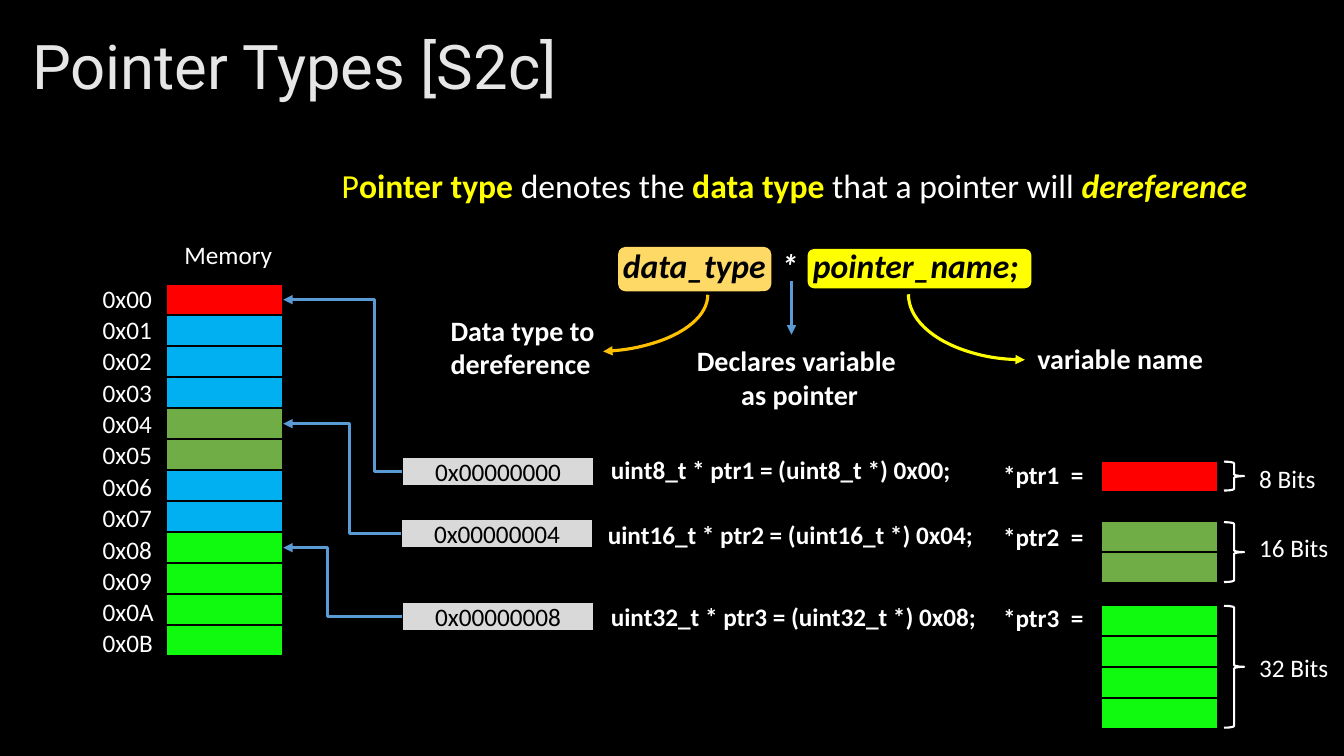
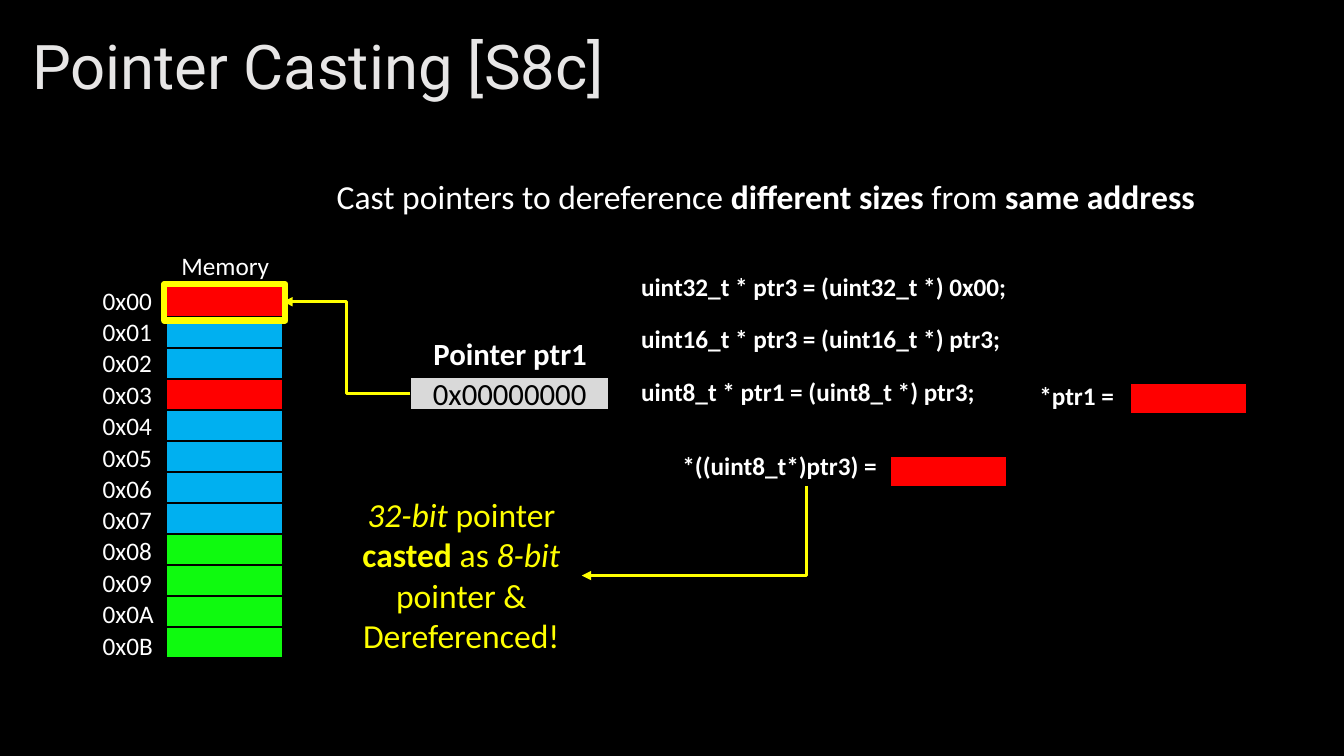
from lxml import etree
from pptx import Presentation
from pptx.dml.color import RGBColor
from pptx.enum.shapes import MSO_CONNECTOR, MSO_SHAPE
from pptx.enum.text import MSO_ANCHOR, MSO_AUTO_SIZE, PP_ALIGN
from pptx.oxml.ns import qn
from pptx.util import Inches, Pt

RECT, ROUNDED = MSO_SHAPE.RECTANGLE, MSO_SHAPE.ROUNDED_RECTANGLE
ARC, BRACE = MSO_SHAPE.ARC, MSO_SHAPE.RIGHT_BRACE
ELBOW, STRAIGHT = MSO_CONNECTOR.ELBOW, MSO_CONNECTOR.STRAIGHT
LEFT, CENTER = PP_ALIGN.LEFT, PP_ALIGN.CENTER
TOP, MIDDLE = MSO_ANCHOR.TOP, MSO_ANCHOR.MIDDLE
LEFT_SIDE, RIGHT_SIDE = 1, 3

COLORS = {
    "black": "000000", "white": "FFFFFF", "title": "E7E6E6", "gray": "D9D9D9",
    "red": "FF0000", "blue": "00B0F0", "olive": "70AD47", "green": "0FFA0F",
    "yellow": "FFFF00", "sand": "FFD966", "amber": "FFC000", "arrow": "5B9BD5",
}
BODY_FONT, TITLE_FONT = "Calibri", "Roboto"

# Shared geometry, in inches
CELL_LEFT, CELL_WIDTH = 1.65, 1.16
CELL_HEIGHT = 3.69 / 12
ADDRESS_LEFT, ADDRESS_WIDTH = 0.92, 0.8
ADDRESS_STEP = 3.73 / 12
LINE_HEIGHT = 0.4

# Run formats
BOLD, ITALIC = {"bold": True}, {"italic": True}
YELLOW = {"color": "yellow"}
KEYWORD = {**BOLD, **YELLOW}
DARK = {"color": "black"}

# Content: pointer types
TYPES_TITLE = "Pointer Types [S2c]"
TYPES_MEMORY = ["red"] + ["blue"] * 3 + ["olive"] * 2 + ["blue"] * 2 + ["green"] * 4
TYPES_STATEMENT = [("P", YELLOW), ("ointer type ", KEYWORD), ("denotes the ", {}),
                   ("data type ", KEYWORD), ("that a pointer will ", {}),
                   ("dereference", {**KEYWORD, **ITALIC})]
DECLARATION = [("data_type  ", DARK), ("* ", {}), (" pointer_name;", DARK)]
HIGHLIGHTS = [((6.13, 2.45, 1.52, 0.44), "sand"), ((8.01, 2.47, 2.22, 0.39), "yellow")]
# box, colour, flips, start angle (None keeps the quarter arc)
CURVED_ARROWS = [((4.73, 2.36, 2.29, 1.13), "amber", ["flipV"], 168.5),
                 ((9.01, 2.27, 2.31, 1.3), "yellow", ["flipH", "flipV"], None)]
EXPLANATIONS = [((10.19, 3.34, 2.1, 0.44), ["variable name"], LEFT),
                ((6.74, 3.36, 2.38, 0.77), ["Declares variable ", "as pointer"], CENTER),
                ((4.37, 3.06, 1.82, 0.77), ["Data type to dereference"], LEFT)]
POINTERS = [
    {"value": "0x00000000", "box": (3.99, 4.53), "target": 0, "bend": 0.23,
     "code": "uint8_t * ptr1 = (uint8_t *) 0x00;", "code_at": (5.96, 4.46),
     "result": "*ptr1  =", "result_top": 4.51, "cells_top": 4.57,
     "cells": ["red"], "size": "8 Bits", "size_top": 4.55},
    {"value": "0x00000004", "box": (3.98, 5.15), "target": 4, "bend": 0.44,
     "code": "uint16_t * ptr2 = (uint16_t *) 0x04;", "code_at": (5.93, 5.1),
     "result": "*ptr2  =", "result_top": 5.12, "cells_top": 5.17,
     "cells": ["olive"] * 2, "size": "16 Bits", "size_top": 5.23},
    {"value": "0x00000008", "box": (3.99, 5.97), "target": 8, "bend": 0.63,
     "code": "uint32_t * ptr3 = (uint32_t *) 0x08;", "code_at": (5.96, 5.92),
     "result": "*ptr3  =", "result_top": 5.93, "cells_top": 6.0,
     "cells": ["green"] * 4, "size": "32 Bits", "size_top": 6.42},
]

# Content: pointer casting
CASTING_TITLE = "Pointer Casting [S8c]"
CASTING_MEMORY = ["red", "blue", "blue", "red"] + ["blue"] * 4 + ["green"] * 4
CASTING_STATEMENT = [("Cast pointers to dereference ", {}), ("different sizes", BOLD),
                     (" from ", {}), ("same address", BOLD)]
CASTS = ["uint32_t * ptr3 = (uint32_t *) 0x00;",
         "uint16_t * ptr3 = (uint16_t *) ptr3;",
         "uint8_t * ptr1 = (uint8_t *) ptr3;"]
# text, text box, place of the red cell
CAST_RESULTS = [("*((uint8_t*)ptr3) =", (6.67, 4.42, 2.66, LINE_HEIGHT), (8.83, 4.52)),
                ("*ptr1 =", (10.21, 3.72, 0.96, LINE_HEIGHT), (11.21, 3.8))]
CAST_NOTE = [("32-bit", ITALIC), (" pointer ", {}), ("casted", BOLD), (" as ", {}),
             ("8-bit ", ITALIC), ("pointer & Dereferenced!", {})]


def rgb(name):
    return RGBColor.from_string(COLORS[name])


def inches(values):
    return [Inches(value) for value in values]


def write(shape, paragraphs, size=18, align=LEFT, anchor=TOP, wrap=True, spacing=None, **base):
    """Fill a shape with paragraphs, each a string or a list of (text, format)."""
    frame = shape.text_frame
    for key, value in {"word_wrap": wrap, "vertical_anchor": anchor}.items():
        setattr(frame, key, value)
    for index, runs in enumerate(paragraphs):
        paragraph = frame.add_paragraph() if index else frame.paragraphs[0]
        paragraph.alignment, paragraph.line_spacing = align, spacing
        for text, style in [(runs, {})] if isinstance(runs, str) else runs:
            run = paragraph.add_run()
            run.text = text
            look = {"name": BODY_FONT, "size": Pt(size), "color": "white", **base, **style}
            run.font.color.rgb = rgb(look.pop("color"))
            for key, value in look.items():
                setattr(run.font, key, value)


def add_text(slide, box, paragraphs, **style):
    text_box = slide.shapes.add_textbox(*inches(box))
    write(text_box, paragraphs, **style)
    if style.get("anchor", TOP) == TOP:
        text_box.text_frame.auto_size = MSO_AUTO_SIZE.SHAPE_TO_FIT_TEXT


def add_shape(slide, kind, box, fill=None, line=None, width=1.5):
    shape = slide.shapes.add_shape(kind, *inches(box))
    shape.shadow.inherit = False
    if fill:
        shape.fill.solid()
        shape.fill.fore_color.rgb = rgb(fill)
    else:
        shape.fill.background()
    if line:
        shape.line.color.rgb = rgb(line)
        shape.line.width = Pt(width)
    else:
        shape.line.fill.background()
    return shape


def add_arrowhead(shape, end):
    outline = shape._element.spPr.find(qn("a:ln"))
    etree.SubElement(outline, qn(f"a:{end}")).set("type", "triangle")


def add_arrow(slide, kind, points, color, bend=None):
    arrow = slide.shapes.add_connector(kind, *inches(points))
    arrow.line.color.rgb = rgb(color)
    arrow.line.width = Pt(2.25)
    add_arrowhead(arrow, "tailEnd")
    properties = arrow._element.spPr
    etree.SubElement(properties, qn("a:effectLst"))
    if bend is not None:
        geometry = properties.find(qn("a:prstGeom"))
        guides = geometry.find(qn("a:avLst"))
        if guides is None:
            guides = etree.SubElement(geometry, qn("a:avLst"))
        guide = etree.SubElement(guides, qn("a:gd"))
        guide.set("name", "adj1")
        guide.set("fmla", f"val {round(bend * 100000)}")
    return arrow


def add_pointer_arrow(slide, pointer, cell, color, bend):
    """Elbow arrow from a pointer box to the memory cell it points at."""
    points = [3.99, 4.68, 2.81, 2.97]
    arrow = add_arrow(slide, ELBOW, points, color, bend)
    arrow.begin_connect(pointer, LEFT_SIDE)
    arrow.end_connect(cell, RIGHT_SIDE)


def add_cells(slide, left, top, fills):
    return [add_shape(slide, RECT, (left, top + row * CELL_HEIGHT, CELL_WIDTH, CELL_HEIGHT),
                      fill, "black") for row, fill in enumerate(fills)]


def add_pointer_box(slide, box, value, size):
    pointer = add_shape(slide, RECT, box, "gray", "black")
    write(pointer, [value], size=size, align=CENTER, anchor=MIDDLE, color="black")
    return pointer


def add_memory(slide, top, fills, caption_at):
    """Memory column with its caption and address labels; returns the cells."""
    add_text(slide, (*caption_at, 1.08, LINE_HEIGHT), ["Memory"], wrap=False)
    for row in range(len(fills)):
        label_top = top - 0.06 + row * ADDRESS_STEP
        add_text(slide, (ADDRESS_LEFT, label_top, ADDRESS_WIDTH, LINE_HEIGHT), [f"0x{row:02X}"])
    return add_cells(slide, CELL_LEFT, top, fills)


def add_slide(prs, title):
    slide = prs.slides.add_slide(prs.slide_layouts[6])
    add_text(slide, (0.22, 0.21, 12.89, 0.97), [title], size=44, anchor=MIDDLE,
             spacing=0.9, name=TITLE_FONT, color="title")
    return slide


def build_types(prs):
    slide = add_slide(prs, TYPES_TITLE)
    add_text(slide, (3.29, 1.59, 9.55, 0.5), [TYPES_STATEMENT], size=24)
    memory = add_memory(slide, 2.82, TYPES_MEMORY, (1.73, 2.33))

    # Annotated declaration
    for box, fill in HIGHLIGHTS:
        add_shape(slide, ROUNDED, box, fill)
    add_text(slide, (6.08, 2.38, 4.36, 0.5), [DECLARATION], size=24, **BOLD, **ITALIC)
    for box, color, flips, start in CURVED_ARROWS:
        curve = add_shape(slide, ARC, box, line=color, width=2.25)
        if start:
            curve.adjustments[0] = start
        for flip in flips:
            curve._element.spPr.find(qn("a:xfrm")).set(flip, "1")
        add_arrowhead(curve, "headEnd")
    add_arrow(slide, STRAIGHT, (7.85, 2.79, 7.85, 3.32), "arrow")
    for box, lines, align in EXPLANATIONS:
        add_text(slide, box, lines, size=20, align=align, **BOLD)

    # One row per pointer: value, code and dereferenced cells
    for row in POINTERS:
        pointer = add_pointer_box(slide, (*row["box"], 1.9, 0.29), row["value"], 18)
        add_text(slide, (*row["code_at"], 3.92, LINE_HEIGHT), [row["code"]], **BOLD)
        add_text(slide, (9.85, row["result_top"], 1.5, LINE_HEIGHT), [row["result"]], **BOLD)
        add_cells(slide, 10.92, row["cells_top"], row["cells"])
        brace_height = len(row["cells"]) * CELL_HEIGHT - 0.02
        add_shape(slide, BRACE, (12.14, row["cells_top"] + 0.01, 0.2, brace_height), line="white")
        add_text(slide, (12.39, row["size_top"], 0.89, LINE_HEIGHT), [row["size"]], wrap=False)
        add_pointer_arrow(slide, pointer, memory[row["target"]], "arrow", row["bend"])


def build_casting(prs):
    slide = add_slide(prs, CASTING_TITLE)
    add_text(slide, (3.24, 1.7, 9.75, 0.5), [CASTING_STATEMENT], size=24)
    memory = add_memory(slide, 2.84, CASTING_MEMORY, (1.7, 2.43))

    # Pointer and the cell it selects
    add_text(slide, (3.94, 3.27, 2.24, 0.47), ["Pointer ptr1"], size=22, align=CENTER, **BOLD)
    pointer = add_pointer_box(slide, (4.07, 3.74, 1.97, 0.33), "0x00000000", 22)
    add_pointer_arrow(slide, pointer, memory[0], "yellow", 0.5)
    add_shape(slide, RECT, (1.63, 2.82, 1.2, 0.36), line="yellow", width=4.5)

    # Casts and their results
    for row, code in enumerate(CASTS):
        add_text(slide, (6.26, 2.64 + row * 0.52, 4.83, LINE_HEIGHT), [code], **BOLD)
    for text, box, cell_at in CAST_RESULTS:
        add_text(slide, box, [text], **BOLD)
        add_cells(slide, *cell_at, ["red"])

    # Note with a one-corner arrow, turned to run down and then left
    add_text(slide, (3.39, 4.85, 2.37, 1.72), [CAST_NOTE], size=24, align=CENTER, color="yellow")
    note_arrow = add_arrow(slide, ELBOW, (6.44, 4.15, 7.33, 6.38), "yellow")
    properties = note_arrow._element.spPr
    properties.find(qn("a:prstGeom")).set("prst", "bentConnector2")
    properties.find(qn("a:xfrm")).set("rot", str(90 * 60000))


def main():
    prs = Presentation()
    prs.slide_width, prs.slide_height = Inches(13.33), Inches(7.5)
    background = prs.slide_master.background.fill
    background.solid()
    background.fore_color.rgb = rgb("black")
    build_types(prs)
    build_casting(prs)
    prs.save("out.pptx")


if __name__ == "__main__":
    main()
